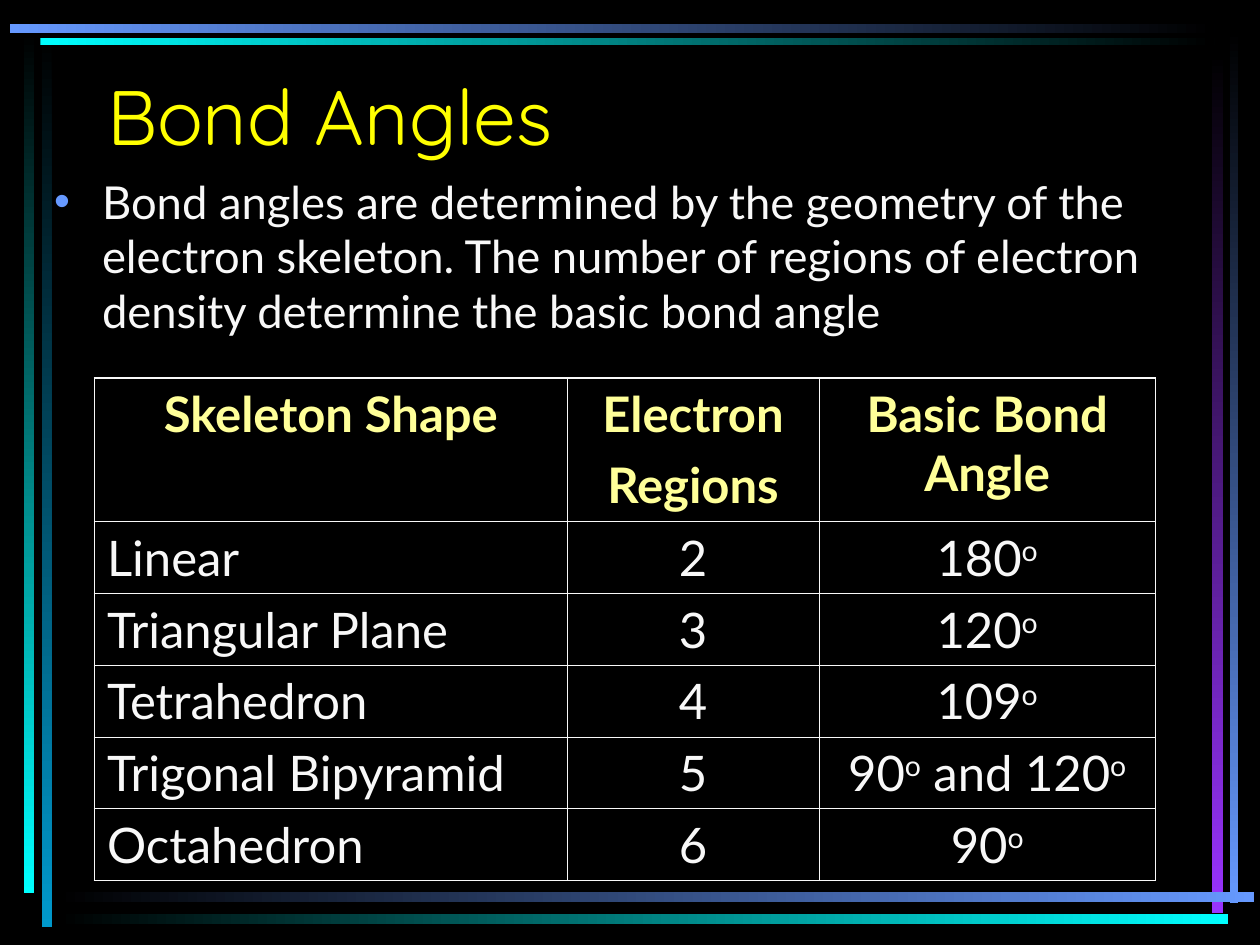
from dataclasses import dataclass

from lxml import etree
from pptx import Presentation
from pptx.dml.color import RGBColor
from pptx.enum.shapes import MSO_SHAPE
from pptx.enum.text import MSO_ANCHOR, MSO_AUTO_SIZE, PP_ALIGN
from pptx.oxml.ns import qn
from pptx.util import Inches, Pt

RECT = MSO_SHAPE.RECTANGLE
LEFT, CENTER = PP_ALIGN.LEFT, PP_ALIGN.CENTER
BOTTOM, TOP = MSO_ANCHOR.BOTTOM, MSO_ANCHOR.TOP
NO_FIT = MSO_AUTO_SIZE.NONE

COLORS = {
    "black": "000000", "text": "F8F8F8", "title": "FFFF00", "header": "FFFF99",
    "blue": "6699FF", "cyan": "00FFFF", "teal": "0099CC", "violet": "9933FF",
}
TITLE_FONT, BODY_FONT = "Quicksand", "Lato"
SLIDE_W, SLIDE_H = 10, 7.5
SPACE_BEFORE = 7
THIN, THICK = 0.45, 1.08
ROW_H = 0.57
COL_WIDTHS = (3.75, 2, 2.67)

# "^" stands for a raised o (degrees), a line break starts a new paragraph
ROWS = (
    ("Skeleton Shape", "Electron\nRegions", "Basic Bond Angle"),
    ("Linear", "2", "180^"),
    ("Triangular Plane", "3", "120^"),
    ("Tetrahedron", "4", "109^"),
    ("Trigonal Bipyramid", "5", "90^ and 120^"),
    ("Octahedron", "6", "90^"),
)


@dataclass(frozen=True)
class Bar:
    """A frame bar that fades from one colour to another."""
    x: float
    y: float
    w: float
    h: float
    start: str
    end: str


BARS = (
    Bar(0.33, 0.28, 0.08, 7.08, "black", "teal"),
    Bar(0.19, 0.25, 0.08, 6.84, "black", "cyan"),
    Bar(9.76, 0.24, 0.07, 6.93, "black", "blue"),
    Bar(9.62, 0.42, 0.09, 6.83, "black", "violet"),
    Bar(0.45, 7.08, 9.5, 0.08, "black", "blue"),
    Bar(0.45, 7.25, 9.3, 0.08, "black", "cyan"),
    Bar(0.32, 0.3, 9.32, 0.06, "cyan", "black"),
    Bar(0.08, 0.19, 9.56, 0.07, "blue", "black"),
)


def rgb(name: str) -> RGBColor:
    return RGBColor.from_string(COLORS[name])


def write(tf, text: str, *, size: float, font: str = BODY_FONT, color: str = "text",
          bold: bool = False, align=LEFT, before: float = SPACE_BEFORE) -> None:
    for i, line in enumerate(text.split("\n")):
        p = tf.paragraphs[0] if i == 0 else tf.add_paragraph()
        p.alignment, p.space_before = align, Pt(before)
        pieces = [(line.split("^")[0], False)]
        for rest in line.split("^")[1:]:
            pieces += [("o", True), (rest, False)]
        for piece, raised in pieces:
            if not piece:
                continue
            r = p.add_run()
            r.text = piece
            r.font.size, r.font.name, r.font.bold = Pt(size), font, bold
            r.font.color.rgb = rgb(color)
            if raised:
                r.font._element.set("baseline", "30000")


def add_bar(slide, bar: Bar) -> None:
    s = slide.shapes.add_shape(RECT, *map(Inches, (bar.x, bar.y, bar.w, bar.h)))
    s.shadow.inherit = False
    s.line.fill.background()
    s.fill.gradient()
    s.fill.gradient_angle = 270 if bar.h > bar.w else 0
    for stop, name in zip(s.fill.gradient_stops, (bar.start, bar.end)):
        stop.color.rgb = rgb(name)


def place(slide, sp, x: float, y: float, w: float, h: float, anchor):
    """Move a placeholder, bring it in front of the bars, return its text frame."""
    sp.left, sp.top, sp.width, sp.height = map(Inches, (x, y, w, h))
    slide.shapes._spTree.append(sp._element)
    tf = sp.text_frame
    tf.auto_size, tf.word_wrap, tf.vertical_anchor = NO_FIT, True, anchor
    return tf


def set_bullet(p, char: str, color: str, indent: float) -> None:
    pPr = p._p.get_or_add_pPr()
    pPr.set("marL", str(Inches(indent)))
    pPr.set("indent", str(-Inches(indent)))
    clr = etree.SubElement(pPr, qn("a:buClr"))
    etree.SubElement(clr, qn("a:srgbClr"), val=COLORS[color])
    etree.SubElement(pPr, qn("a:buChar"), char=char)


def set_borders(cell, widths: dict[str, float]) -> None:
    tcPr = cell._tc.get_or_add_tcPr()
    for i, (side, width) in enumerate(widths.items()):
        ln = etree.Element(qn(f"a:ln{side}"), w=str(Pt(width)))
        fill = etree.SubElement(ln, qn("a:solidFill"))
        etree.SubElement(fill, qn("a:srgbClr"), val=COLORS["text"])
        tcPr.insert(i, ln)


def add_angle_table(slide, x: float, y: float) -> None:
    last_row, last_col = len(ROWS) - 1, len(COL_WIDTHS) - 1
    heights = [2 * ROW_H] + [ROW_H] * last_row
    table = slide.shapes.add_table(
        len(ROWS), len(COL_WIDTHS),
        *map(Inches, (x, y, sum(COL_WIDTHS), sum(heights)))).table
    table.first_row = table.horz_banding = False
    for column, width in zip(table.columns, COL_WIDTHS):
        column.width = Inches(width)
    for i, (row, height) in enumerate(zip(table.rows, heights)):
        row.height = Inches(height)
        for j, cell in enumerate(row.cells):
            header = i == 0
            cell.fill.background()
            write(cell.text_frame, ROWS[i][j], size=28, bold=header,
                  color="header" if header else "text",
                  align=CENTER if header or j else LEFT)
            outer = {"L": j == 0, "R": j == last_col, "T": header, "B": i == last_row}
            set_borders(cell, {side: THICK if edge else THIN
                               for side, edge in outer.items()})


def main() -> None:
    prs = Presentation()
    prs.slide_width, prs.slide_height = Inches(SLIDE_W), Inches(SLIDE_H)
    slide = prs.slides.add_slide(prs.slide_layouts[1])
    slide.background.fill.solid()
    slide.background.fill.fore_color.rgb = rgb("black")

    # Frame
    for bar in BARS:
        add_bar(slide, bar)

    # Title and statement
    title, body = slide.placeholders
    tf = place(slide, title, 0.75, 0.25, 8.5, 1.08, BOTTOM)
    write(tf, "Bond Angles", size=44, font=TITLE_FONT, color="title", before=0)
    tf = place(slide, body, 0.33, 1.33, 8.92, 1.58, TOP)
    write(tf, "Bond angles are determined by the geometry of the electron skeleton. "
              "The number of regions of electron density determine the basic bond angle",
          size=25.9)
    set_bullet(tf.paragraphs[0], "•", "blue", 0.38)

    # Table of angles
    add_angle_table(slide, 0.75, 3)
    prs.save("out.pptx")


if __name__ == "__main__":
    main()
